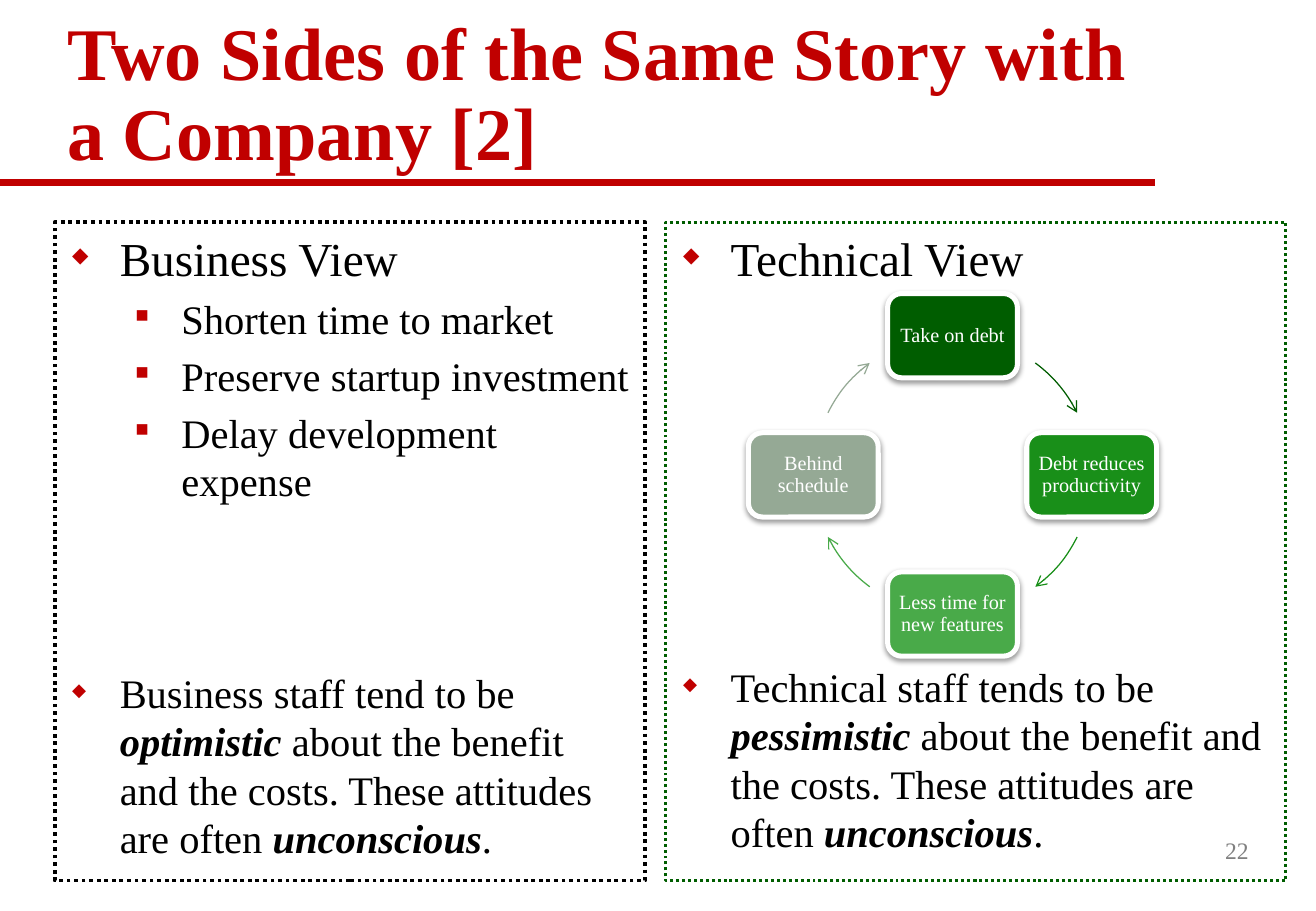
from math import cos, radians, sin

from lxml.etree import SubElement
from pptx import Presentation
from pptx.dml.color import RGBColor
from pptx.enum.dml import MSO_LINE as DASH
from pptx.enum.shapes import MSO_CONNECTOR as LINK, MSO_SHAPE as SHAPE
from pptx.enum.text import MSO_ANCHOR as ANCHOR, PP_ALIGN as ALIGN
from pptx.oxml.ns import qn
from pptx.util import Pt

RED = "C00000"


def rgb(code):
    return RGBColor.from_string(code)


def write(para, text, size, color="000000", bold=False, align=ALIGN.LEFT,
          line=1, before=0, bullet=None, left=0, hang=0):
    """Fill a paragraph; parts between asterisks are bold italic."""
    if bullet:
        props = para._p.get_or_add_pPr()
        props.set("marL", str(Pt(left)))
        props.set("indent", str(Pt(-hang)))
        tint = SubElement(props, qn("a:buClr"))
        SubElement(tint, qn("a:srgbClr"), val=RED)
        SubElement(props, qn("a:buSzPct"), val="45000")
        SubElement(props, qn("a:buChar"), char=bullet)
    para.alignment = align
    para.line_spacing = line
    para.space_before = Pt(before)
    for row, words in enumerate(text.split("\n")):
        if row:
            para.add_line_break()
        for i, part in enumerate(words.split("*")):
            run = para.add_run()
            run.text = part
            font = run.font
            font.name = "Times New Roman"
            font.size = Pt(size)
            font.color.rgb = rgb(color)
            font.bold = bold or i % 2 == 1
            font.italic = i % 2 == 1


deck = Presentation()
deck.slide_width, deck.slide_height = Pt(780), Pt(540)
slide = deck.slides.add_slide(deck.slide_layouts[6])
shapes = slide.shapes

# Title and rule
rule = shapes.add_connector(LINK.STRAIGHT, 0, Pt(108), Pt(684.7), Pt(108))
rule.line.color.rgb = rgb(RED)
rule.line.width = Pt(4)
SubElement(rule.element.spPr, qn("a:effectLst"))

title = shapes.add_textbox(Pt(32.8), Pt(20.9), Pt(711.4), Pt(87.1))
frame = title.text_frame
frame.word_wrap = True
frame.vertical_anchor = ANCHOR.BOTTOM
write(frame.paragraphs[0], "Two Sides of the Same Story with\na Company [2]",
      44, RED, bold=True, line=0.9)

# Two views
top = dict(bullet="◆", left=31.5, hang=28.2)
sub = dict(bullet="■", left=68, hang=27.2, before=4.8)
views = [
    (32.4, 350, "000000", 2.25, [
        ("Business View", 28, top),
        ("Shorten time to market", 24, sub),
        ("Preserve startup investment", 24, sub),
        ("Delay development expense", 24, sub),
        ("Business staff tend to be *optimistic* about the benefit and the "
         "costs. These attitudes are often *unconscious*.",
         24, dict(top, before=96.6)),
    ]),
    (394.5, 367.5, "005D00", 1.75, [
        ("Technical View", 28, top),
        ("Technical staff tends to be *pessimistic* about the benefit and "
         "the costs. These attitudes are often *unconscious*.",
         24, dict(top, before=222.6)),
    ]),
]
for x, wide, edge, weight, items in views:
    panel = shapes.add_textbox(Pt(x), Pt(131.8), Pt(wide), Pt(390.2))
    panel.line.color.rgb = rgb(edge)
    panel.line.width = Pt(weight)
    panel.line.dash_style = DASH.ROUND_DOT
    frame = panel.text_frame
    frame.word_wrap = True
    frame.margin_top = Pt(4.2)
    frame.margin_right = Pt(8.5)
    for i, (text, size, form) in enumerate(items):
        para = frame.add_paragraph() if i else frame.paragraphs[0]
        write(para, text, size, **form)

# Page number
page = shapes.add_textbox(Pt(584.6), Pt(486), Pt(162.7), Pt(36))
frame = page.text_frame
frame.word_wrap = True
frame.vertical_anchor = ANCHOR.MIDDLE
write(frame.paragraphs[0], "22", 14, "808080", align=ALIGN.RIGHT)

# Debt cycle, clockwise from the top
mid_x, mid_y, radius = 564.6, 281.5, 82.5
wide, high = 77, 50
steps = [
    ("Take on debt", "005D00", 36.5),
    ("Debt reduces productivity", "198F19", 116.5),
    ("Less time for new features", "49AA49", 216.5),
    ("Behind schedule", "95A995", 296.5),
]
for i, (text, color, start) in enumerate(steps):
    turn = radians(90 * i)
    x = mid_x + radius * sin(turn) - wide / 2
    y = mid_y - radius * cos(turn) - high / 2
    node = shapes.add_shape(SHAPE.ROUNDED_RECTANGLE,
                            Pt(x), Pt(y), Pt(wide), Pt(high))
    node.fill.solid()
    node.fill.fore_color.rgb = rgb(color)
    node.line.color.rgb = rgb("FFFFFF")
    node.line.width = Pt(3)
    node.shadow.inherit = False
    glow = SubElement(node.element.spPr.find(qn("a:effectLst")),
                      qn("a:outerShdw"), blurRad=str(Pt(3.1)),
                      dist=str(Pt(1.6)), dir="5400000", rotWithShape="0")
    shade = SubElement(glow, qn("a:srgbClr"), val="000000")
    SubElement(shade, qn("a:alpha"), val="38000")
    frame = node.text_frame
    frame.word_wrap = True
    frame.vertical_anchor = ANCHOR.MIDDLE
    frame.margin_left = frame.margin_right = Pt(3.6)
    frame.margin_top = frame.margin_bottom = Pt(3.6)
    write(frame.paragraphs[0], text, 12, "FFFFFF", align=ALIGN.CENTER, line=0.9)

    arc = shapes.add_shape(SHAPE.ARC, Pt(mid_x - radius), Pt(mid_y - radius),
                           Pt(2 * radius), Pt(2 * radius))
    # One degree is 0.6 of an adjustment unit, counted from three o'clock
    for k, angle in enumerate((start, start + 27)):
        arc.adjustments[k] = (angle - 90) % 360 * 0.6
    arc.fill.background()
    arc.line.color.rgb = rgb(color)
    arc.line.width = Pt(0.75)
    arc.shadow.inherit = False
    SubElement(arc.element.spPr.find(qn("a:ln")), qn("a:tailEnd"), type="arrow")

deck.save("out.pptx")
